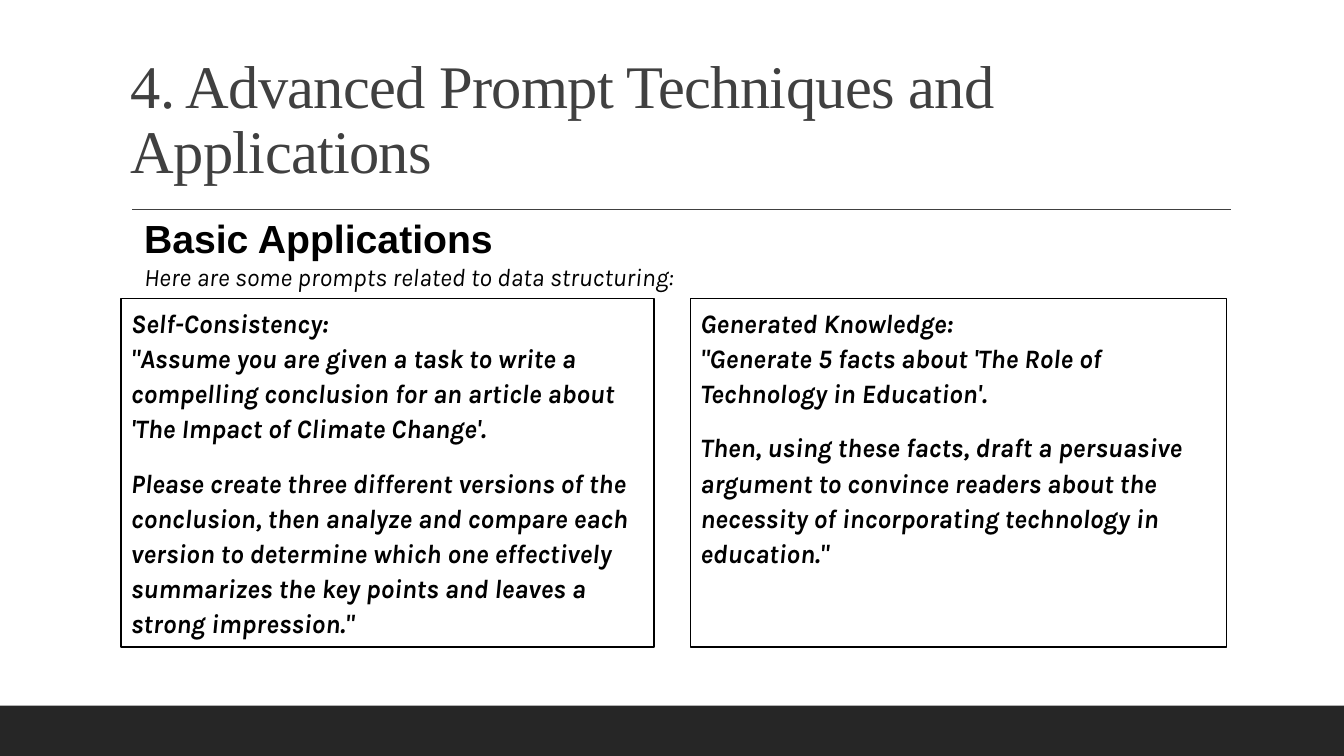
from pptx import Presentation
from pptx.dml.color import RGBColor
from pptx.enum.shapes import MSO_CONNECTOR, MSO_SHAPE
from pptx.enum.text import MSO_ANCHOR, PP_ALIGN
from pptx.oxml.ns import qn
from pptx.util import Cm, Pt
from lxml.etree import SubElement

COLORS = {"black": "000000", "white": "FFFFFF", "title": "404040", "footer": "262626"}


class SlideBuilder:
    def __init__(self, slide):
        self.shapes = slide.shapes

    def color(self, name):
        return RGBColor.from_string(COLORS[name])

    def style(self, paragraph, font, size, color="black", bold=False, italic=False):
        paragraph.alignment = PP_ALIGN.LEFT
        paragraph.font.name = font
        paragraph.font.size = Pt(size)
        paragraph.font.bold = bold
        paragraph.font.italic = italic
        paragraph.font.color.rgb = self.color(color)

    def text_box(self, left, top, width, height, anchor=MSO_ANCHOR.TOP):
        frame = self.shapes.add_textbox(Cm(left), Cm(top), Cm(width), Cm(height)).text_frame
        frame.word_wrap = True
        frame.vertical_anchor = anchor
        return frame

    def rectangle(self, left, top, width, height, fill, line=None):
        box = self.shapes.add_shape(
            MSO_SHAPE.RECTANGLE, Cm(left), Cm(top), Cm(width), Cm(height))
        box.shadow.inherit = False
        box.fill.solid()
        box.fill.fore_color.rgb = self.color(fill)
        if line:
            box.line.color.rgb = self.color(line)
            box.line.width = Pt(1.25)
        else:
            box.line.fill.background()
        return box

    def rule(self, left, right, y):
        rule = self.shapes.add_connector(
            MSO_CONNECTOR.STRAIGHT, Cm(left), Cm(y), Cm(right), Cm(y))
        rule.line.color.rgb = self.color("title")
        rule.line.width = Pt(1)
        SubElement(rule._element.spPr, qn("a:effectLst"))

    def title(self, text):
        frame = self.text_box(3.05, 1.27, 27.94, 3.56, MSO_ANCHOR.BOTTOM)
        paragraph = frame.paragraphs[0]
        paragraph.text = text
        paragraph.line_spacing = 0.9
        self.style(paragraph, "Times New Roman", 43.2, "title")
        paragraph.font._element.set("spc", "-50")

    def intro(self, heading, lead):
        frame = self.text_box(3.38, 5.28, 27.36, 2.24)
        frame.text = f"{heading}\n{lead}"
        self.style(frame.paragraphs[0], "Arial", 28, bold=True)
        self.style(frame.paragraphs[1], "Karla", 18, italic=True)

    def prompt_card(self, left, width, paragraphs):
        frame = self.rectangle(left, 7.52, width, 8.79, "white", "black").text_frame
        frame.word_wrap = True
        frame.vertical_anchor = MSO_ANCHOR.TOP
        frame.margin_left, frame.margin_right = Cm(0.25), 0
        for index, text in enumerate(paragraphs):
            paragraph = frame.add_paragraph() if index else frame.paragraphs[0]
            paragraph.text = text
            paragraph.line_spacing = 1.1
            paragraph.space_before, paragraph.space_after = Pt(12), Pt(2)
            self.style(paragraph, "Karla", 19, bold=True, italic=True)


def main():
    deck = Presentation()
    deck.slide_width, deck.slide_height = Cm(33.87), Cm(19.05)
    builder = SlideBuilder(deck.slides.add_slide(deck.slide_layouts[6]))

    # Footer band and title rule
    builder.rectangle(0, 17.78, 33.87, 1.27, "footer")
    builder.rule(3.33, 31.01, 5.28)

    # Headings
    builder.title("4. Advanced Prompt Techniques and Applications")
    builder.intro("Basic Applications", "Here are some prompts related to data structuring:")

    # Prompt examples
    builder.prompt_card(3.05, 13.44, [
        "Self-Consistency:\n\"Assume you are given a task to write a compelling "
        "conclusion for an article about 'The Impact of Climate Change'.",
        "Please create three different versions of the conclusion, then analyze and "
        "compare each version to determine which one effectively summarizes the key "
        "points and leaves a strong impression.\"",
    ])
    builder.prompt_card(17.4, 13.51, [
        "Generated Knowledge:\n\"Generate 5 facts about 'The Role of Technology in "
        "Education'.",
        "Then, using these facts, draft a persuasive argument to convince readers about "
        "the necessity of incorporating technology in education.\"",
    ])

    deck.save("out.pptx")


if __name__ == "__main__":
    main()
